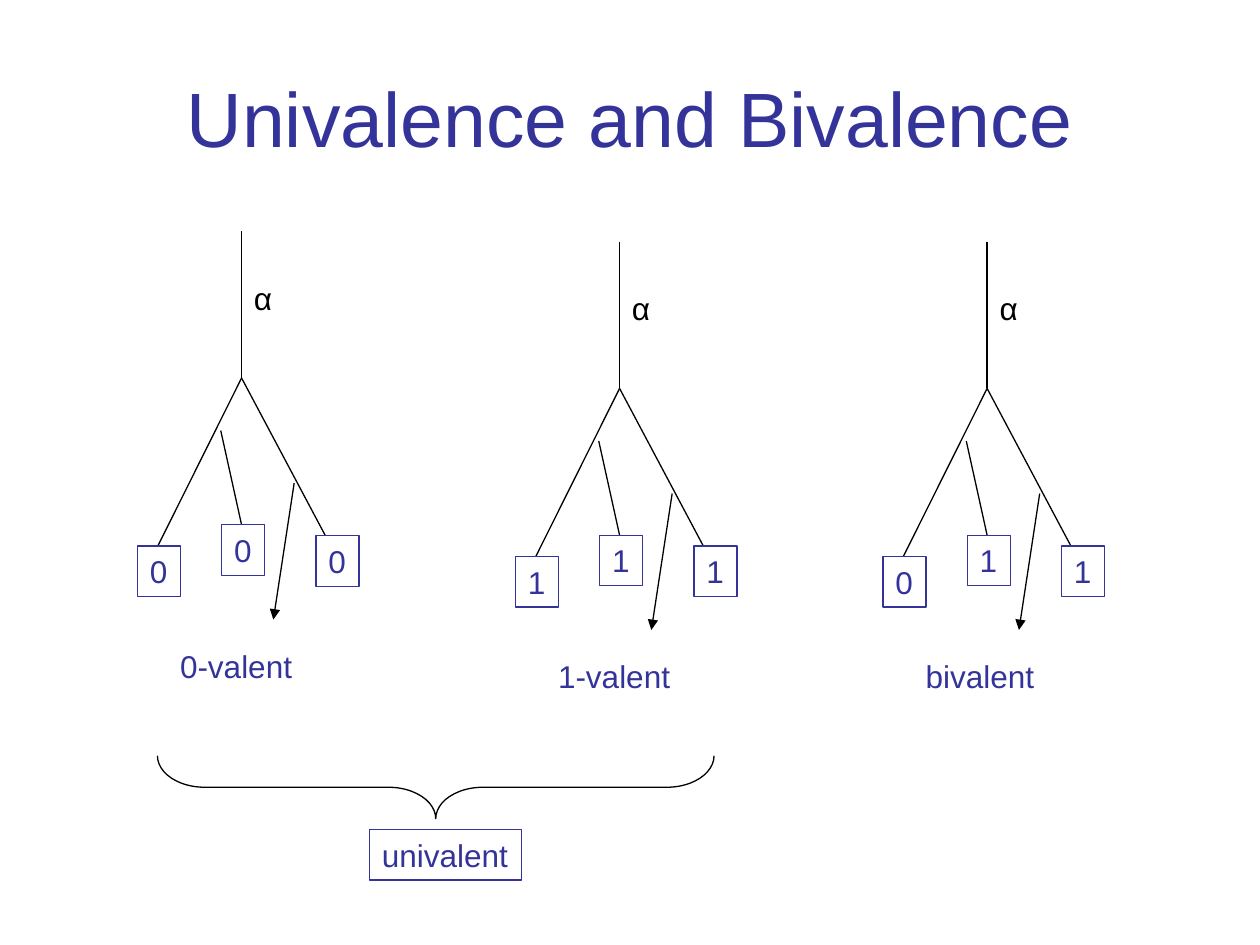
from lxml import etree
from pptx import Presentation
from pptx.dml.color import RGBColor
from pptx.enum.shapes import MSO_CONNECTOR as CONN, MSO_SHAPE as SHAPE
from pptx.enum.text import MSO_ANCHOR as ANCHOR, MSO_AUTO_SIZE as FIT, PP_ALIGN as ALIGN
from pptx.oxml.ns import qn
from pptx.util import Cm, Pt

NAVY = RGBColor(0x33, 0x33, 0x99)
BLACK = RGBColor(0, 0, 0)


def add_label(parent, text, x, y, w, color=NAVY, framed=False):
    sp = parent.shapes.add_textbox(Cm(x), Cm(y), Cm(w), Cm(1.02))
    if framed:
        sp.line.color.rgb = color
        sp.line.width = Pt(0.75)
    tf = sp.text_frame
    tf.text = text
    tf.word_wrap = False
    tf.auto_size = FIT.SHAPE_TO_FIT_TEXT
    font = tf.paragraphs[0].runs[0].font
    font.name, font.size, font.color.rgb = "Arial", Pt(18), color


def add_line(parent, x1, y1, x2, y2, arrow=False):
    cn = parent.shapes.add_connector(CONN.STRAIGHT, Cm(x1), Cm(y1), Cm(x2), Cm(y2))
    cn.line.color.rgb = BLACK
    cn.line.width = Pt(0.75)
    if arrow:
        etree.SubElement(cn.line._get_or_add_ln(), qn("a:tailEnd"), type="triangle")
    etree.SubElement(cn._element.spPr, qn("a:effectLst"))


prs = Presentation()
prs.slide_width, prs.slide_height = Cm(25.4), Cm(19.05)
s = prs.slides.add_slide(prs.slide_layouts[5])

title = s.shapes.title
title.left, title.top, title.width, title.height = Cm(1.27), Cm(0.76), Cm(22.86), Cm(3.18)
tf = title.text_frame
tf.text = "Univalence and Bivalence"
tf.vertical_anchor = ANCHOR.MIDDLE
p = tf.paragraphs[0]
p.alignment = ALIGN.CENTER
font = p.runs[0].font
font.name, font.size, font.color.rgb = "Arial", Pt(44), NAVY

summary = s.shapes.add_group_shape()
add_label(summary, "univalent", 7.45, 16.72, 3.06, framed=True)
brace = summary.shapes.add_shape(SHAPE.LEFT_BRACE, Cm(8.15), Cm(10.26), Cm(1.27), Cm(11.22))
brace.rotation = 270
brace.adjustments[0] = 0.75
brace.shadow.inherit = False
brace.fill.background()
brace.line.color.rgb = BLACK
brace.line.width = Pt(0.75)

TREES = [
    (4.87, 7.62, "0-valent", 2.77, "000"),
    (19.9, 7.83, "bivalent", 2.69, "011"),
    (12.49, 7.83, "1-valent", 2.77, "111"),
]
BRANCHES = [
    (0, -2.96, 0, 0),
    (0, 0, 1.69, 3.18),
    (0, 0, -1.69, 3.39),
    (-0.42, 1.06, 0, 2.96),
]
LEAVES = [(-2.1, 3.39), (-0.4, 2.96), (1.5, 3.18)]

for x, y, caption, width, values in TREES:
    tree = s.shapes.add_group_shape()
    add_label(tree, caption, x - 1.49, y + 5.29, width)
    for x1, y1, x2, y2 in BRANCHES:
        add_line(tree, x + x1, y + y1, x + x2, y + y2)
    add_label(tree, "α", x, y - 2.12, 0.92, BLACK)
    for value, (dx, dy) in zip(values, LEAVES):
        add_label(tree, value, x + dx, y + dy, 0.87, framed=True)
    add_line(tree, x + 1.06, y + 2.12, x + 0.64, y + 4.87, arrow=True)

prs.save("out.pptx")
